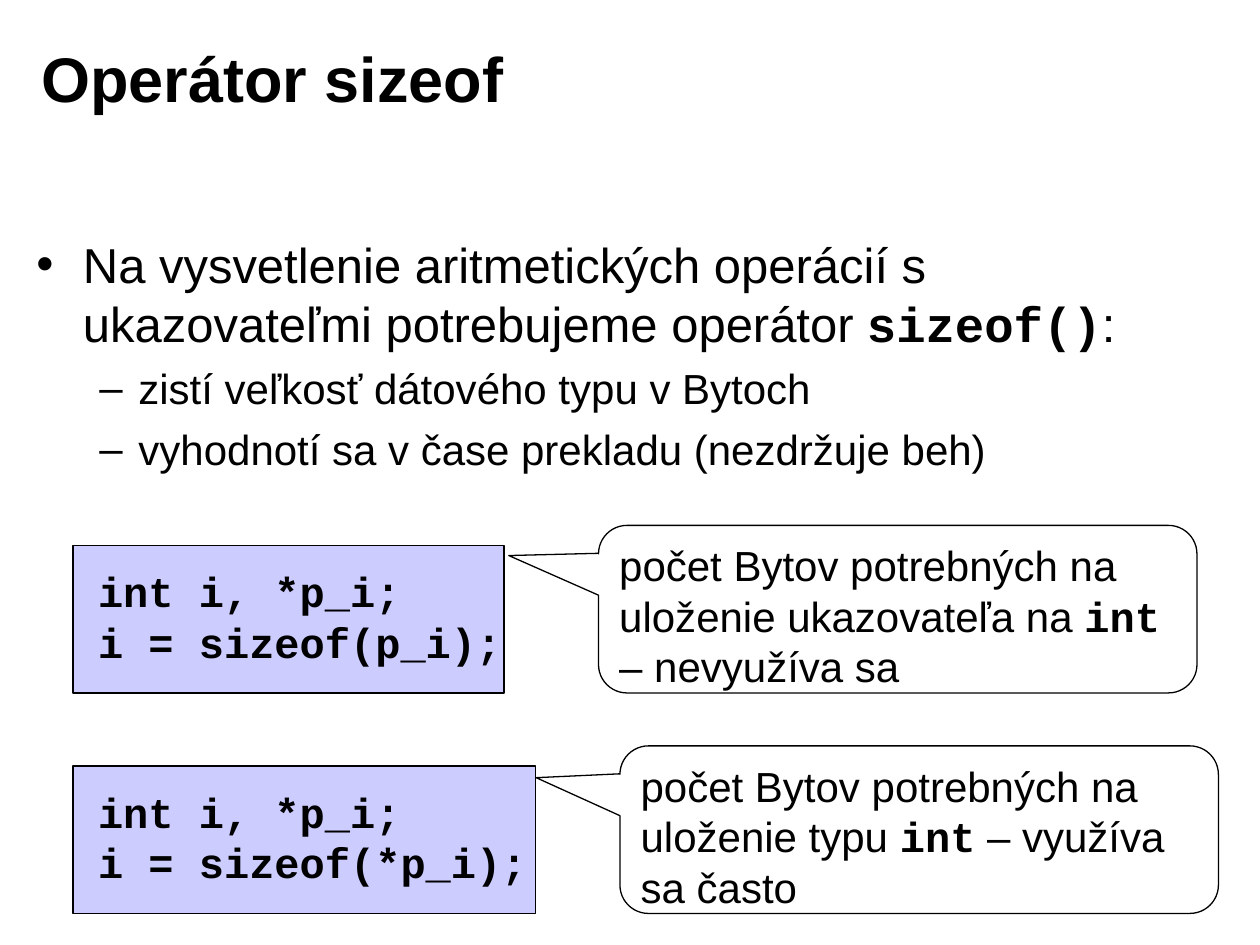
"""Builds the slide about the sizeof operator."""
from pptx import Presentation
from pptx.dml.color import RGBColor
from pptx.enum.shapes import MSO_SHAPE
from pptx.enum.text import MSO_ANCHOR, PP_ALIGN
from pptx.oxml.ns import qn
from pptx.util import Inches, Pt
from lxml import etree

RECTANGLE = MSO_SHAPE.RECTANGLE
CALLOUT = MSO_SHAPE.ROUNDED_RECTANGULAR_CALLOUT
TOP, MIDDLE = MSO_ANCHOR.TOP, MSO_ANCHOR.MIDDLE
LEFT = PP_ALIGN.LEFT
BLACK = RGBColor(0x00, 0x00, 0x00)
WHITE = RGBColor(0xFF, 0xFF, 0xFF)
LAVENDER = RGBColor(0xCC, 0xCC, 0xFF)
TEXT_FONT, CODE_FONT = "Arial", "Courier New"


def add_runs(paragraph, runs, size, bold=False):
    paragraph.alignment = LEFT
    for text, is_code in runs:
        run = paragraph.add_run()
        run.text = text
        run.font.size = Pt(size)
        run.font.name = CODE_FONT if is_code else TEXT_FONT
        run.font.bold = bold or is_code
        run.font.color.rgb = BLACK


def add_outlined(shapes, kind, left, top, width, height, fill):
    shape = shapes.add_shape(kind, Inches(left), Inches(top), Inches(width), Inches(height))
    shape.shadow.inherit = False
    shape.fill.solid()
    shape.fill.fore_color.rgb = fill
    shape.line.color.rgb = BLACK
    shape.line.width = Pt(0.75)
    return shape


presentation = Presentation()
presentation.slide_width = Inches(10)
presentation.slide_height = Inches(7.5)
slide = presentation.slides.add_slide(presentation.slide_layouts[6])

title = slide.shapes.add_textbox(Inches(0.23), Inches(0.15), Inches(8.03), Inches(0.93))
title.text_frame.word_wrap = True
title.text_frame.vertical_anchor = MIDDLE
add_runs(title.text_frame.paragraphs[0], [("Operátor sizeof", False)], 36, bold=True)

body = slide.shapes.add_textbox(Inches(0.19), Inches(1.81), Inches(9.61), Inches(2.28))
body.text_frame.word_wrap = True
body_items = [
    (0, [("Na vysvetlenie aritmetických operácií s ukazovateľmi potrebujeme operátor ", False),
         ("sizeof()", True), (":", False)]),
    (1, [("zistí veľkosť dátového typu v Bytoch", False)]),
    (1, [("vyhodnotí sa v čase prekladu (nezdržuje beh)", False)]),
]
level_styles = [(28, 7, 0.37, 0.37, "•"), (24, 6, 0.81, 0.31, "–")]
for index, (level, runs) in enumerate(body_items):
    size, space, margin, hanging, bullet = level_styles[level]
    paragraph = body.text_frame.paragraphs[0] if index == 0 else body.text_frame.add_paragraph()
    paragraph.level = level
    paragraph.space_before = Pt(space)
    add_runs(paragraph, runs, size)
    properties = paragraph._p.get_or_add_pPr()
    properties.set("marL", str(Inches(margin)))
    properties.set("indent", str(-Inches(hanging)))
    etree.SubElement(properties, qn("a:buFont")).set("typeface", TEXT_FONT)
    etree.SubElement(properties, qn("a:buChar")).set("char", bullet)

code_examples = [
    (4.33, 3.42, 3.4, "i = sizeof(p_i);"),
    (6.08, 3.67, 3.6, "i = sizeof(*p_i);"),
]
for top, box_width, text_width, statement in code_examples:
    group = slide.shapes.add_group_shape()
    add_outlined(group.shapes, RECTANGLE, 0.58, top, box_width, 1.17, LAVENDER)
    code = group.shapes.add_textbox(
        Inches(0.68), Inches(top + 0.11), Inches(text_width), Inches(0.9))
    code.text_frame.word_wrap = False
    add_runs(code.text_frame.paragraphs[0], [("int i, *p_i;", True)], 24)
    add_runs(code.text_frame.add_paragraph(), [(statement, True)], 24)

callouts = [
    (4.75, 4.17, (-0.65, -0.32, 0.17),
     "počet Bytov potrebných na uloženie ukazovateľa na ", " – nevyužíva sa"),
    (4.92, 5.92, (-0.64, -0.31, 0.17),
     "počet Bytov potrebných na uloženie typu ", " – využíva sa často"),
]
for left, top, adjustments, before, after in callouts:
    callout = add_outlined(slide.shapes, CALLOUT, left, top, 4.75, 1.33, WHITE)
    for index, value in enumerate(adjustments):
        callout.adjustments[index] = value
    callout.text_frame.word_wrap = True
    callout.text_frame.vertical_anchor = TOP
    add_runs(callout.text_frame.paragraphs[0],
             [(before, False), ("int", True), (after, False)], 24)

presentation.save("out.pptx")
